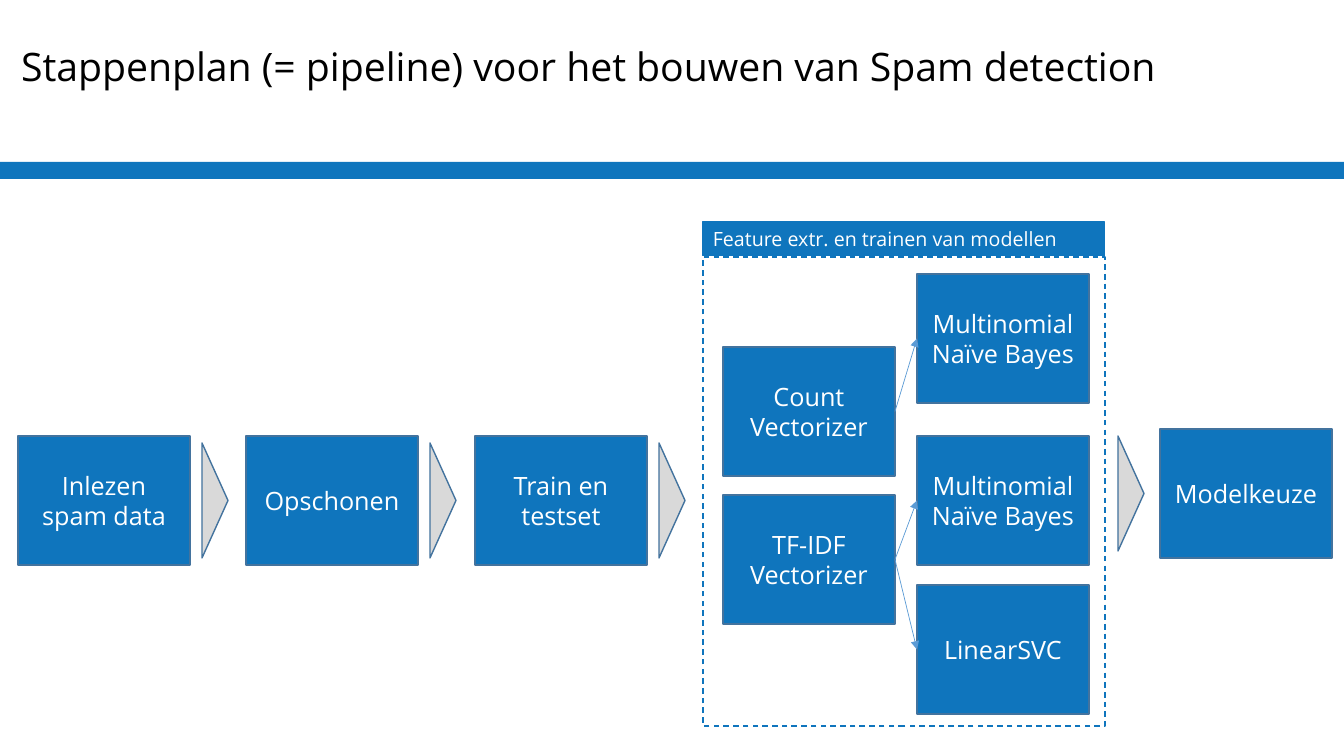
from dataclasses import dataclass

from pptx import Presentation
from pptx.dml.color import RGBColor
from pptx.enum.dml import MSO_LINE
from pptx.enum.shapes import MSO_CONNECTOR, MSO_SHAPE as Kind
from pptx.enum.text import MSO_ANCHOR as Anchor, MSO_AUTO_SIZE as Fit, PP_ALIGN as Align
from pptx.oxml.ns import qn
from pptx.util import Emu, Pt
from lxml.etree import SubElement


@dataclass(frozen=True)
class Theme:
    font: str = "Open Sans"
    blue: str = "0F75BD"
    edge: str = "43739E"
    link: str = "5B9BD5"
    grey: str = "D9D9D9"
    white: str = "FFFFFF"
    black: str = "000000"
    head: int = 28
    body: int = 18
    label: int = 14


@dataclass(frozen=True)
class Box:
    text: str
    left: int
    top: int


@dataclass(frozen=True)
class Link:
    start: int
    end: int


theme = Theme()
WIDE, HIGH = 172, 129          # step box
TIP, SPAN = 26, 115            # arrow depth and height
NEXT, BACK = 25, 29            # box edge to arrow centre, after and before


def px(num: float) -> Emu:
    return Emu(round(num * 914400 / 100.8))


def rgb(code: str) -> RGBColor:
    return RGBColor.from_string(code)


def write(shape, text: str, size: int, color: str, align=Align.LEFT,
          anchor=Anchor.TOP, space=None) -> None:
    frame = shape.text_frame
    frame.text = text
    form = {"word_wrap": True, "auto_size": Fit.NONE, "vertical_anchor": anchor}
    for key, val in form.items():
        setattr(frame, key, val)
    for para in frame.paragraphs:
        para.alignment, para.line_spacing = align, space
        for key, val in {"name": theme.font, "size": Pt(size), "bold": False}.items():
            setattr(para.font, key, val)
        para.font.color.rgb = rgb(color)


def draw(parent, kind, left: float, top: float, wide: float, high: float,
         fill=None, line=None, width: float = 1):
    shape = parent.add_shape(kind, px(left), px(top), px(wide), px(high))
    shape.shadow.inherit = False
    if fill:
        shape.fill.solid()
        shape.fill.fore_color.rgb = rgb(fill)
    else:
        shape.fill.background()
    if line:
        shape.line.color.rgb = rgb(line)
        shape.line.width = Pt(width)
    else:
        shape.line.fill.background()
    return shape


def block(parent, box: Box):
    shape = draw(parent, Kind.RECTANGLE, box.left, box.top, WIDE, HIGH,
                 theme.blue, theme.edge)
    write(shape, box.text, theme.body, theme.white, Align.CENTER, Anchor.MIDDLE)
    return shape


def arrow(parent, mid: int, top: int) -> None:
    shape = draw(parent, Kind.ISOSCELES_TRIANGLE, mid - SPAN / 2,
                 top + (HIGH - TIP) / 2, SPAN, TIP, theme.grey, theme.edge)
    shape.rotation = 90


def join(parent, start, end) -> None:
    line = parent.add_connector(MSO_CONNECTOR.STRAIGHT, 0, 0, 0, 0)
    line.begin_connect(start, 3)
    line.end_connect(end, 1)
    line.line.color.rgb = rgb(theme.link)
    line.line.width = Pt(0.5)
    SubElement(line.line._get_or_add_ln(), qn("a:tailEnd"), type="triangle")
    SubElement(line._element.spPr, qn("a:effectLst"))


deck = Presentation()
deck.slide_width, deck.slide_height = px(1344), px(756)
slide = deck.slides.add_slide(deck.slide_layouts[5])
shapes = slide.shapes

# Title and band
title = shapes.title
for key, val in {"left": 11, "top": 43, "width": 1321, "height": 57}.items():
    setattr(title, key, px(val))
write(title, "Stappenplan (= pipeline) voor het bouwen van Spam detection",
      theme.head, theme.black, space=0.9)
draw(shapes, Kind.RECTANGLE, 0, 162, 1344, 17, theme.blue)

# Main steps
steps = [Box("Inlezen spam data", 18, 436), Box("Opschonen", 246, 436),
         Box("Train en testset", 475, 436)]
last = Box("Modelkeuze", 1160, 429)
for step in steps:
    block(shapes, step)
    arrow(shapes, step.left + WIDE + NEXT, step.top)
block(shapes, last)
arrow(shapes, last.left - BACK, last.top)

# Features and models
group = shapes.add_group_shape().shapes
parts = [block(group, box) for box in (
    Box("Count Vectorizer", 723, 347),
    Box("TF-IDF\nVectorizer", 723, 495),
    Box("Multinomial Naïve Bayes", 917, 274),
    Box("Multinomial Naïve Bayes", 917, 436),
    Box("LinearSVC", 917, 585),
)]
for link in (Link(0, 2), Link(1, 3), Link(1, 4)):
    join(group, parts[link.start], parts[link.end])
frame = draw(group, Kind.RECTANGLE, 703, 257, 402, 469, line=theme.blue)
frame.line.dash_style = MSO_LINE.DASH

# Frame label
label = draw(shapes, Kind.RECTANGLE, 703, 222, 402, 34, theme.blue, theme.blue, 0.75)
write(label, "Feature extr. en trainen van modellen", theme.label, theme.white)

deck.save("out.pptx")
